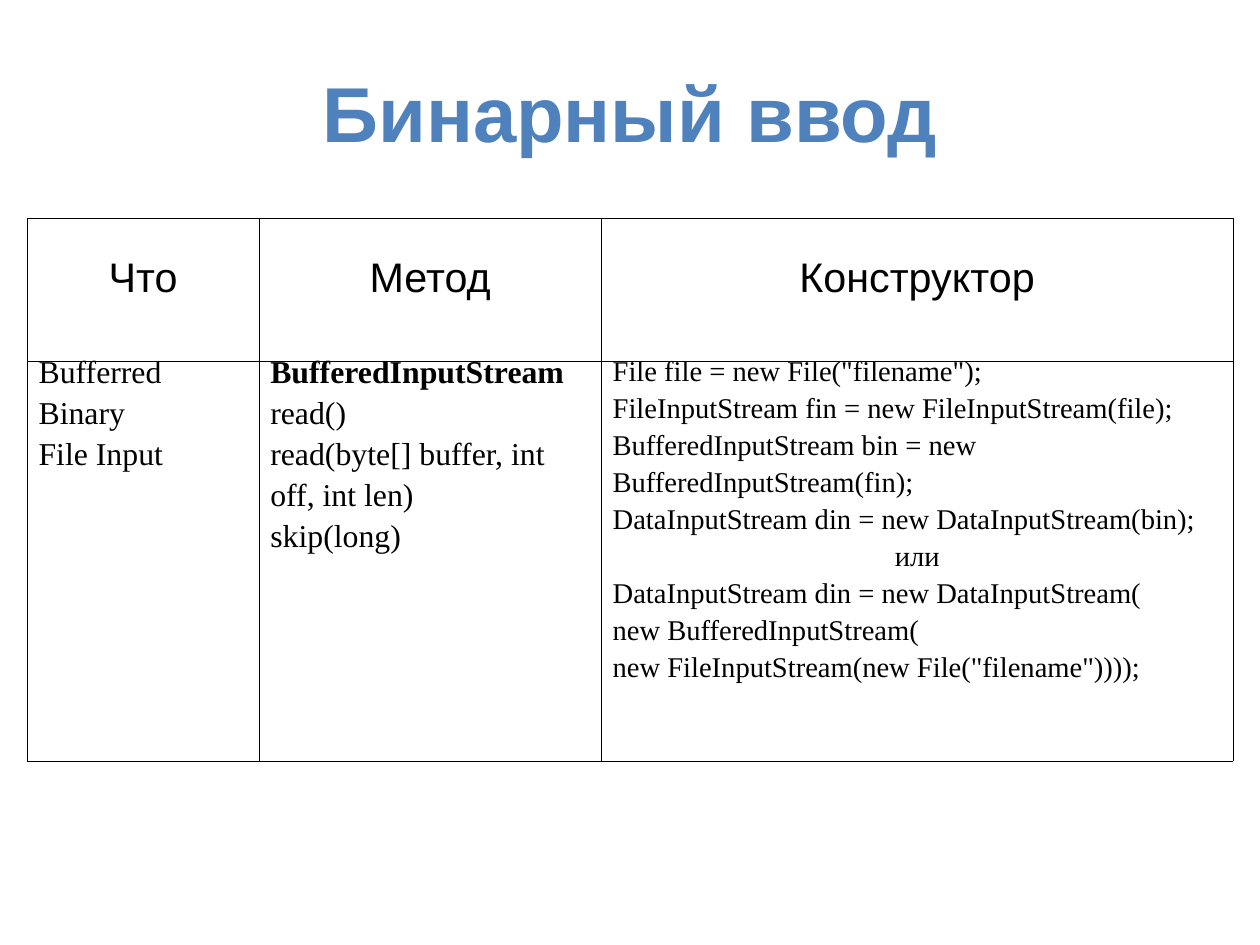
from dataclasses import dataclass
from lxml.etree import SubElement
from pptx import Presentation
from pptx.dml.color import RGBColor
from pptx.enum.text import MSO_ANCHOR, MSO_AUTO_SIZE, PP_ALIGN
from pptx.oxml.ns import qn
from pptx.util import Pt


@dataclass(frozen=True)
class Theme:
    blue: str = "4F81BD"
    black: str = "000000"
    sans: str = "Arial"
    serif: str = "Times New Roman"
    title: int = 49
    head: int = 26
    text: int = 20
    code: int = 18
    line: float = 0.06


THEME = Theme()
LEFT, MID = PP_ALIGN.LEFT, PP_ALIGN.CENTER
COLS = (146, 215.7, 398)
ROWS = (90, 251.7)
HEADS = ("Что", "Метод", "Конструктор")
INPUT = ("Bufferred", "Binary", "File Input")
CLASS = "BufferedInputStream"
CALLS = (CLASS, "read()", "read(byte[] buffer, int", "off, int len)", "skip(long)")
OR = "или"
CODE = (
    'File file = new File("filename");',
    "FileInputStream fin = new FileInputStream(file);",
    "BufferedInputStream bin = new",
    "BufferedInputStream(fin);",
    "DataInputStream din = new DataInputStream(bin);",
    OR,
    "DataInputStream din = new DataInputStream(",
    "new BufferedInputStream(",
    'new FileInputStream(new File("filename"))));',
)


def add_run(para, text, font, size, color=THEME.black, bold=False):
    run = para.add_run()
    run.text = text
    run.font.name = font
    run.font.size = Pt(size)
    run.font.bold = bold
    run.font.color.rgb = RGBColor.from_string(color)


def add_title(slide, text):
    title = slide.shapes.title
    title.left, title.top = Pt(39.6), Pt(23.8)
    title.width, title.height = Pt(714.2), Pt(99.4)
    frame = title.text_frame
    frame.margin_left = frame.margin_right = 0
    frame.margin_top = frame.margin_bottom = 0
    frame.auto_size = MSO_AUTO_SIZE.NONE
    frame.vertical_anchor = MSO_ANCHOR.MIDDLE
    para = frame.paragraphs[0]
    para.alignment = MID
    para.line_spacing = 0.93
    add_run(para, text, THEME.sans, THEME.title, THEME.blue, True)


def add_edges(cell):
    props = cell._tc.get_or_add_tcPr()
    for side in ("lnL", "lnR", "lnT", "lnB"):
        edge = SubElement(props, qn(f"a:{side}"), w=str(Pt(THEME.line)))
        fill = SubElement(edge, qn("a:solidFill"))
        SubElement(fill, qn("a:srgbClr"), val=THEME.black)


def add_grid(slide):
    frame = slide.shapes.add_table(
        len(ROWS), len(COLS), Pt(17.2), Pt(137.5), Pt(sum(COLS)), Pt(sum(ROWS))
    )
    grid = frame.table
    grid.first_row = grid.horz_banding = False
    for col, width in zip(grid.columns, COLS):
        col.width = Pt(width)
    for row, height in zip(grid.rows, ROWS):
        row.height = Pt(height)
    for cell in grid.iter_cells():
        add_edges(cell)
        cell.fill.background()
        cell.margin_left = cell.margin_right = Pt(7.1)
        cell.margin_top = cell.margin_bottom = Pt(3.6)
        cell.vertical_anchor = MSO_ANCHOR.TOP
    return grid


def fill_head(cell, text):
    cell.margin_top = Pt(32.5)
    para = cell.text_frame.paragraphs[0]
    para.alignment = MID
    para.line_spacing = 0.62
    add_run(para, text, THEME.sans, THEME.head)


def fill_body(cell, lines, size):
    frame = cell.text_frame
    for place, line in enumerate(lines):
        para = frame.add_paragraph() if place else frame.paragraphs[0]
        para.alignment = MID if line == OR else LEFT
        para.line_spacing = 0.58
        para.space_before = Pt(0.65 * size if place else 0)
        add_run(para, line, THEME.serif, size, bold=line == CLASS)


def main():
    deck = Presentation()
    deck.slide_width, deck.slide_height = Pt(793.75), Pt(595.25)
    slide = deck.slides.add_slide(deck.slide_layouts[5])
    add_title(slide, "Бинарный ввод")
    grid = add_grid(slide)
    for col, text in enumerate(HEADS):
        fill_head(grid.cell(0, col), text)
    parts = ((INPUT, THEME.text), (CALLS, THEME.text), (CODE, THEME.code))
    for col, (lines, size) in enumerate(parts):
        fill_body(grid.cell(1, col), lines, size)
    deck.save("out.pptx")


main()
